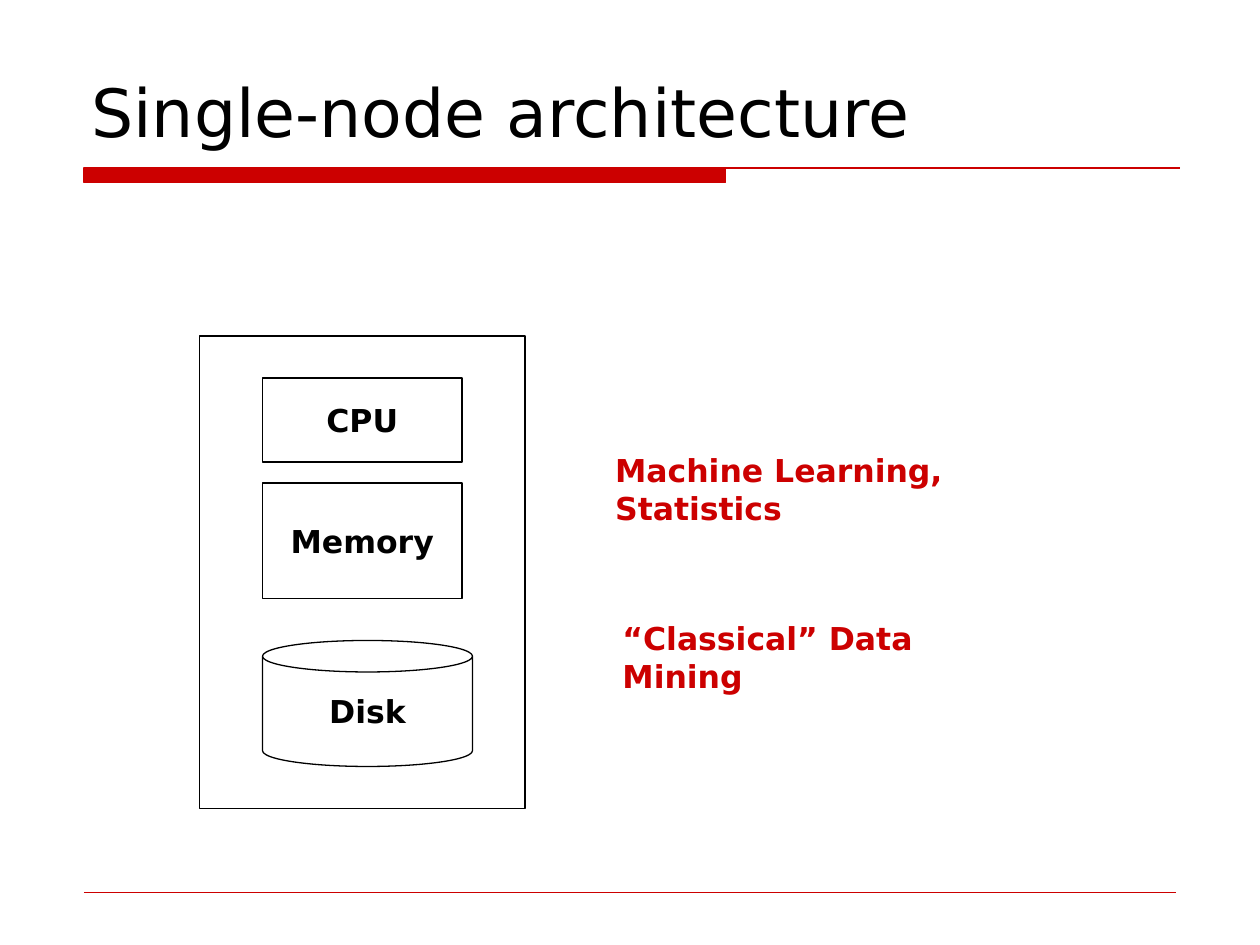
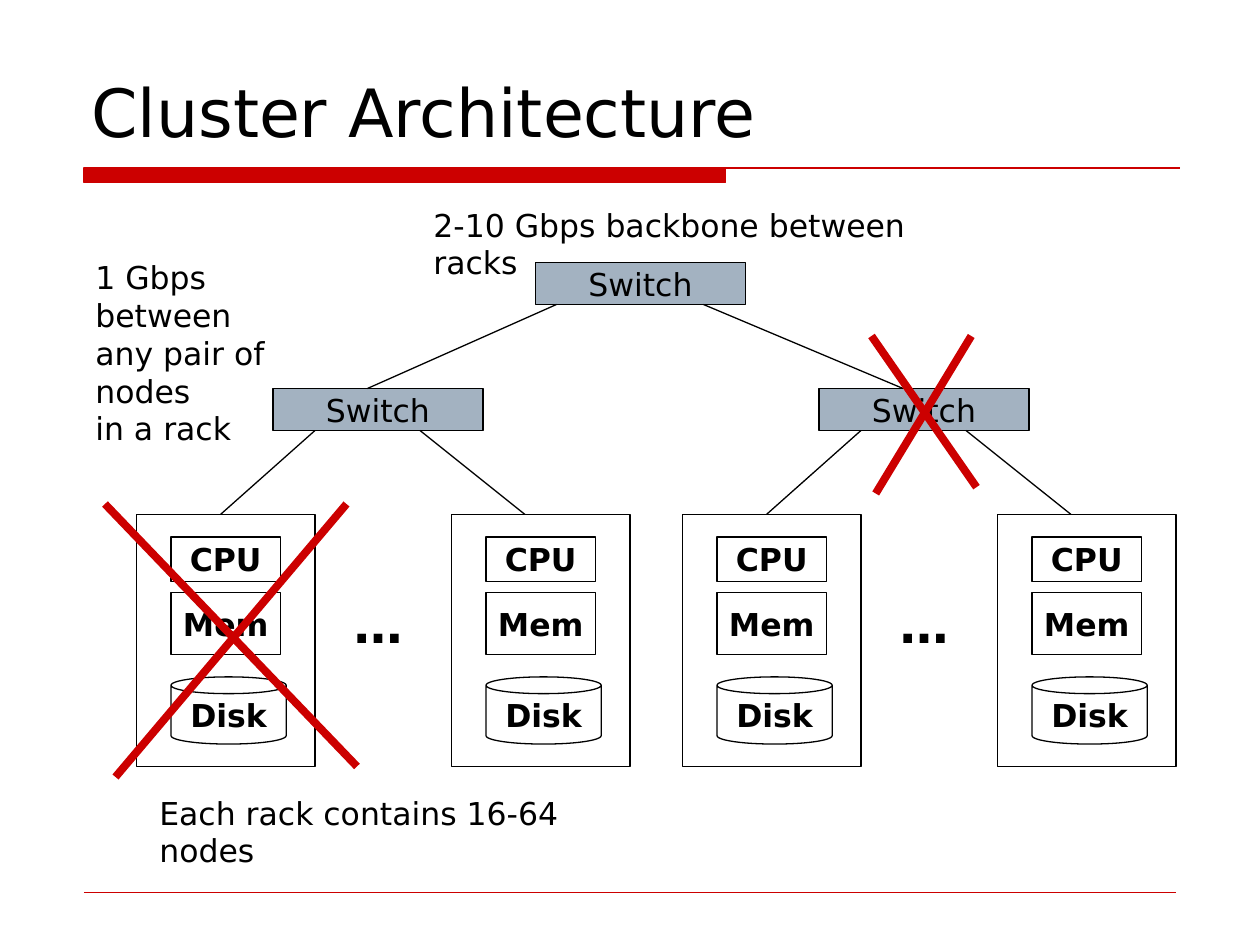
from lxml.etree import SubElement
from pptx import Presentation
from pptx.dml.color import RGBColor
from pptx.enum.shapes import MSO_CONNECTOR, MSO_SHAPE as SHAPE
from pptx.enum.text import MSO_ANCHOR as ANCHOR, PP_ALIGN as ALIGN
from pptx.oxml.ns import qn
from pptx.util import Inches, Pt

FONT = "DejaVu Sans"
BLACK, RED, STEEL = "000000", "CC0000", "A3B2C1"
UNITS_PER_INCH = 12
NODE_COLS, NODE_ROWS = 31, 45
RACK_TOP, SWITCH_TOP, CORE_TOP = 49, 37, 25
SWITCH_W, SWITCH_H = 20, 4


def u(n):
    """Convert grid units to a length."""
    return Inches(n / UNITS_PER_INCH)


def rgb(color):
    """Convert a hex string to a colour."""
    return RGBColor.from_string(color)


def write(tf, text, size=18, color=BLACK, bold=False, align=ALIGN.LEFT,
          anchor=ANCHOR.TOP, wrap=True):
    """Fill a text frame, one paragraph for each line of text."""
    tf.word_wrap = wrap
    tf.vertical_anchor = anchor
    tf.text = text
    for p in tf.paragraphs:
        p.alignment = align
        for r in p.runs:
            r.font.name, r.font.size, r.font.bold = FONT, Pt(size), bold
            r.font.color.rgb = rgb(color)


def paint(sp, fill=None, line=BLACK):
    """Give a shape a plain fill and a thin outline."""
    sp.shadow.inherit = False
    if fill:
        sp.fill.solid()
        sp.fill.fore_color.rgb = rgb(fill)
    else:
        sp.fill.background()
    sp.line.color.rgb = rgb(line)
    sp.line.width = Pt(0.75)


def box(shapes, x, y, w, h, text="", kind=SHAPE.RECTANGLE, fill=None, bold=True):
    """Add an outlined shape with a centred label."""
    sp = shapes.add_shape(kind, u(x), u(y), u(w), u(h))
    paint(sp, fill)
    if text:
        write(sp.text_frame, text, bold=bold, align=ALIGN.CENTER,
              anchor=ANCHOR.MIDDLE, wrap=False)


def line(shapes, x1, y1, x2, y2, color=BLACK, width=0.75):
    """Add a straight line without a shadow."""
    c = shapes.add_connector(MSO_CONNECTOR.STRAIGHT, u(x1), u(y1), u(x2), u(y2))
    c.line.color.rgb = rgb(color)
    c.line.width = Pt(width)
    SubElement(c.element.spPr, qn("a:effectLst"))
    return c


def label(s, x, y, w, h, text, **fmt):
    """Add a free text box."""
    write(s.shapes.add_textbox(u(x), u(y), u(w), u(h)).text_frame, text, **fmt)


def node(s, x, y, w, h, memory):
    """Add a grouped computer whose parts scale with its frame."""
    shapes = s.shapes.add_group_shape().shapes
    parts = [
        (memory, SHAPE.RECTANGLE, 14, 19, 11),
        ("Disk", SHAPE.CAN, 29, 20, 12),
        ("CPU", SHAPE.RECTANGLE, 4, 19, 8),
    ]
    kx, ky = w / NODE_COLS, h / NODE_ROWS
    for text, kind, top, cols, rows in parts:
        box(shapes, x + 6 * kx, y + top * ky, cols * kx, rows * ky, text, kind)
    box(shapes, x, y, w, h)


def switch(s, x, y):
    """Add a network switch."""
    box(s.shapes, x, y, SWITCH_W, SWITCH_H, "Switch", fill=STEEL, bold=False)


def rack(s, x):
    """Add two nodes, the dots between them and their switch."""
    for dx in (0, 30):
        node(s, x + dx, RACK_TOP, 17, 24, "Mem")
    label(s, x + 19.5, 56, 6.4, 6.8, "…", size=28, bold=True)
    switch(s, x + 13, SWITCH_TOP)
    for start, end in ((17, 8), (27, 37)):
        line(s.shapes, x + start, SWITCH_TOP + SWITCH_H, x + end, RACK_TOP)


def cross(s, *strokes):
    """Strike out a part with two grouped thick lines."""
    shapes = s.shapes.add_group_shape().shapes
    for stroke in strokes:
        line(shapes, *stroke, color=RED, width=4.5)


def decorate(layout, s):
    """Place the title, the red band and the foot rule on the layout."""
    for ph in list(layout.placeholders):
        if ph.placeholder_format.idx:
            ph.element.getparent().remove(ph.element)
    title = layout.placeholders[0]
    title.left, title.top, title.width, title.height = map(u, (7.5, 3, 105, 12))
    left, top, bar_right, rule_right, bottom = map(u, (8, 16, 69.1, 112.4, 17.4))
    fb = s.shapes.build_freeform(left, top)
    fb.add_line_segments([(bar_right, top), (bar_right, bottom), (left, bottom)])
    fb.move_to(left, top)
    fb.add_line_segments([(rule_right, top)], close=False)
    band = fb.convert_to_shape()
    paint(band, RED, RED)
    foot = line(s.shapes, 8, 85, 112, 85, RED, 0.25)
    for sp in (band, foot):
        layout.shapes.element.append(sp.element)


def titled(prs, layout, text):
    """Add a slide with a formatted title."""
    s = prs.slides.add_slide(layout)
    write(s.shapes.title.text_frame, text, size=38, anchor=ANCHOR.BOTTOM)
    return s


def single_node(s):
    """Draw one computer and the work done at each level."""
    node(s, 19, 32, NODE_COLS, NODE_ROWS, "Memory")
    label(s, 57.4, 42.4, 44.8, 4.8, "Machine Learning, Statistics", color=RED, bold=True)
    label(s, 58.1, 58.4, 37.1, 4.8, "“Classical” Data Mining", color=RED, bold=True)


def cluster(s):
    """Draw two racks joined by a backbone, with failed parts."""
    rack(s, 13)
    label(s, 14, 75, 46.6, 4.8, "Each rack contains 16-64 nodes")
    rack(s, 65)
    switch(s, 51, CORE_TOP)
    for start, end in ((53, 35), (67, 86)):
        line(s.shapes, start, CORE_TOP + SWITCH_H, end, SWITCH_TOP)
    label(s, 7.9, 24, 26, 12, "1 Gbps between\nany pair of nodes\nin a rack")
    label(s, 40.1, 19, 52.3, 4.8, "2-10 Gbps backbone between racks")
    cross(s, (10, 48, 34, 73), (33, 48, 11, 74))
    cross(s, (83, 32, 93, 46.4), (92.5, 32, 83.4, 47))


def main():
    """Build and save the slides."""
    prs = Presentation()
    prs.slide_width, prs.slide_height = Inches(10), Inches(7.5)
    layout = prs.slide_layouts[5]
    s = titled(prs, layout, "Single-node architecture")
    decorate(layout, s)
    single_node(s)
    cluster(titled(prs, layout, "Cluster Architecture"))
    prs.save("out.pptx")


if __name__ == "__main__":
    main()
